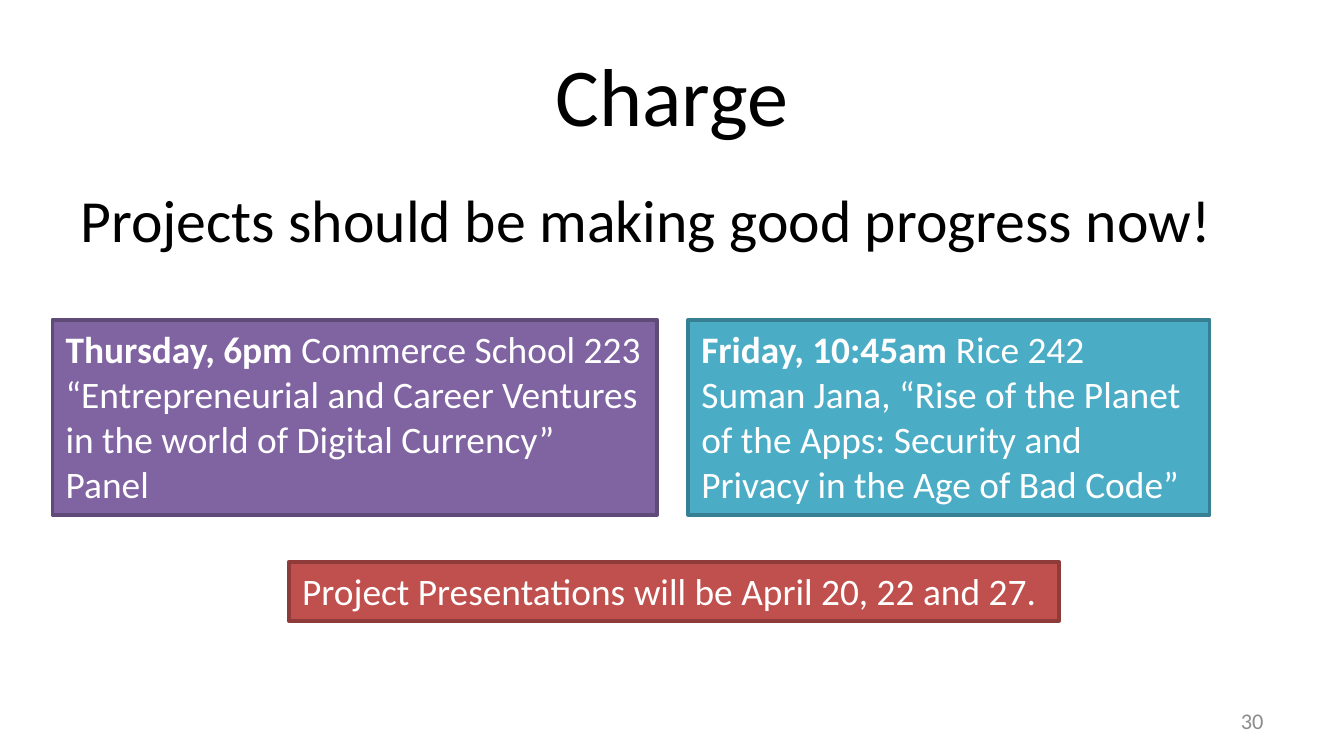
"""Build the closing "Charge" slide with its event announcements."""
import pptx
import pptx.util
import pptx.dml.color
import pptx.enum.shapes
import pptx.enum.text

Inches = pptx.util.Inches
Align = pptx.enum.text.PP_ALIGN
Anchor = pptx.enum.text.MSO_ANCHOR


def rgb(value):
    return pptx.dml.color.RGBColor.from_string(value)


def write(shape, paragraphs, size, color, align=Align.LEFT, anchor=Anchor.TOP):
    frame = shape.text_frame
    frame.word_wrap = True
    frame.vertical_anchor = anchor
    frame.text = "\n".join(parts[0] for parts in paragraphs)
    for paragraph, parts in zip(frame.paragraphs, paragraphs):
        paragraph.alignment = align
        for part in parts[1:]:
            paragraph.add_run().text = part
        for run in paragraph.runs:
            run.font.name = "Calibri"
            run.font.size = pptx.util.Pt(size)
            run.font.color.rgb = rgb(color)
        paragraph.runs[0].font.bold = len(parts) > 1


deck = pptx.Presentation()
deck.slide_width = Inches(10)
deck.slide_height = deck.slide_width * 9 // 16
slide = deck.slides.add_slide(deck.slide_layouts[6])

title = slide.shapes.add_textbox(Inches(0.5), Inches(0.23), Inches(9), Inches(0.94))
write(title, [["Charge"]], 44, "000000", Align.CENTER, Anchor.MIDDLE)

reminder = slide.shapes.add_textbox(Inches(0.5), Inches(1.31), Inches(9), Inches(3.71))
write(reminder, [["Projects should be making good progress now!"]], 32, "000000")

page_number = slide.shapes.add_textbox(Inches(7.17), Inches(5.21), Inches(2.33), Inches(0.3))
write(page_number, [["30"]], 12, "8C8C8C", Align.RIGHT, Anchor.MIDDLE)

announcements = [
    (0.39, 2.38, 4.5, 1.45, "8064A2", "5F4A78", True, [
        ["Thursday, 6pm ", "Commerce School 223"],
        ["“Entrepreneurial and Career Ventures in the world of Digital Currency” Panel"]]),
    (5.12, 2.38, 3.88, 1.45, "4BACC6", "377F92", True, [
        ["Friday, 10:45am ", "Rice 242"],
        ["Suman Jana, “Rise of the Planet of the Apps: Security and Privacy in the Age of Bad Code”"]]),
    (2.15, 4.18, 5.73, 0.44, "C0504D", "8E3B39", False, [
        ["Project Presentations will be April 20, 22 and 27."]]),
]
for left, top, width, height, fill, border, wraps, paragraphs in announcements:
    announcement = slide.shapes.add_shape(
        pptx.enum.shapes.MSO_SHAPE.RECTANGLE,
        Inches(left), Inches(top), Inches(width), Inches(height))
    announcement.shadow.inherit = False
    announcement.fill.solid()
    announcement.fill.fore_color.rgb = rgb(fill)
    announcement.line.color.rgb = rgb(border)
    announcement.line.width = pptx.util.Pt(2)
    write(announcement, paragraphs, 20, "FFFFFF")
    announcement.text_frame.word_wrap = wraps
    announcement.text_frame.auto_size = pptx.enum.text.MSO_AUTO_SIZE.SHAPE_TO_FIT_TEXT

deck.save("out.pptx")
